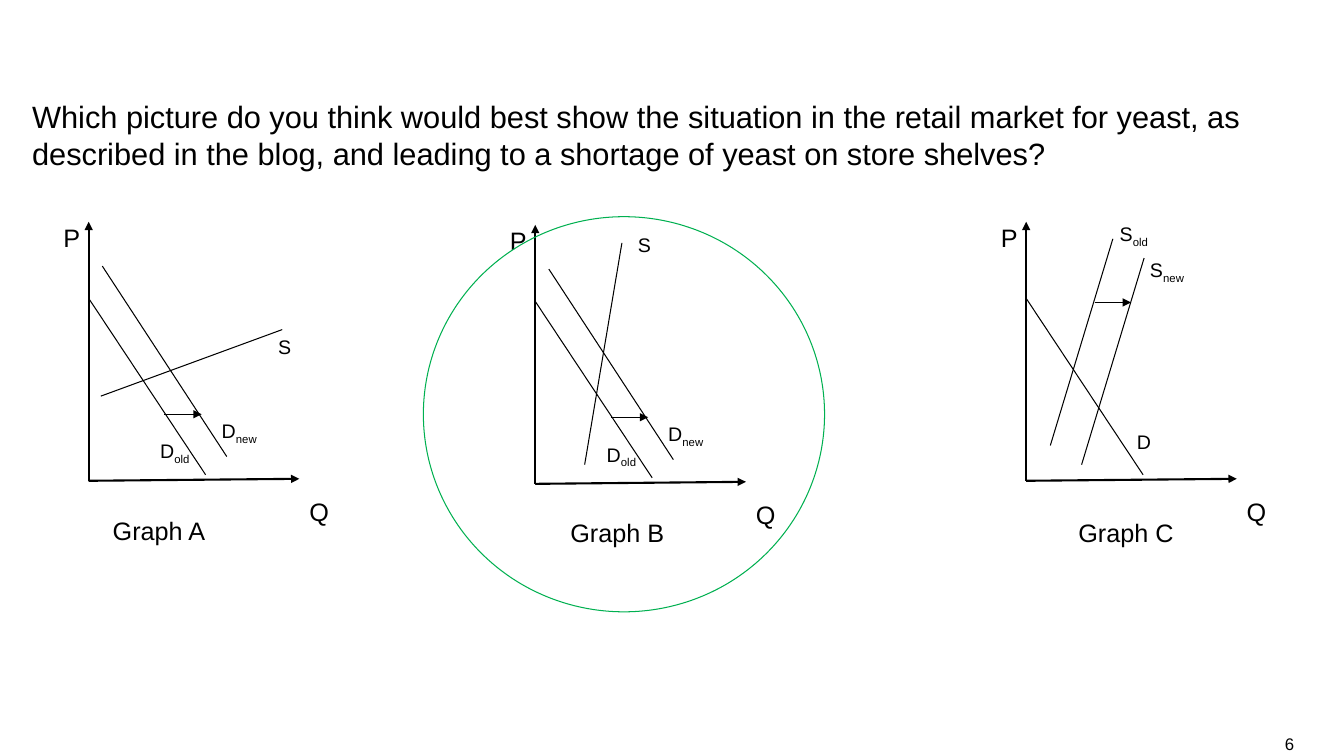
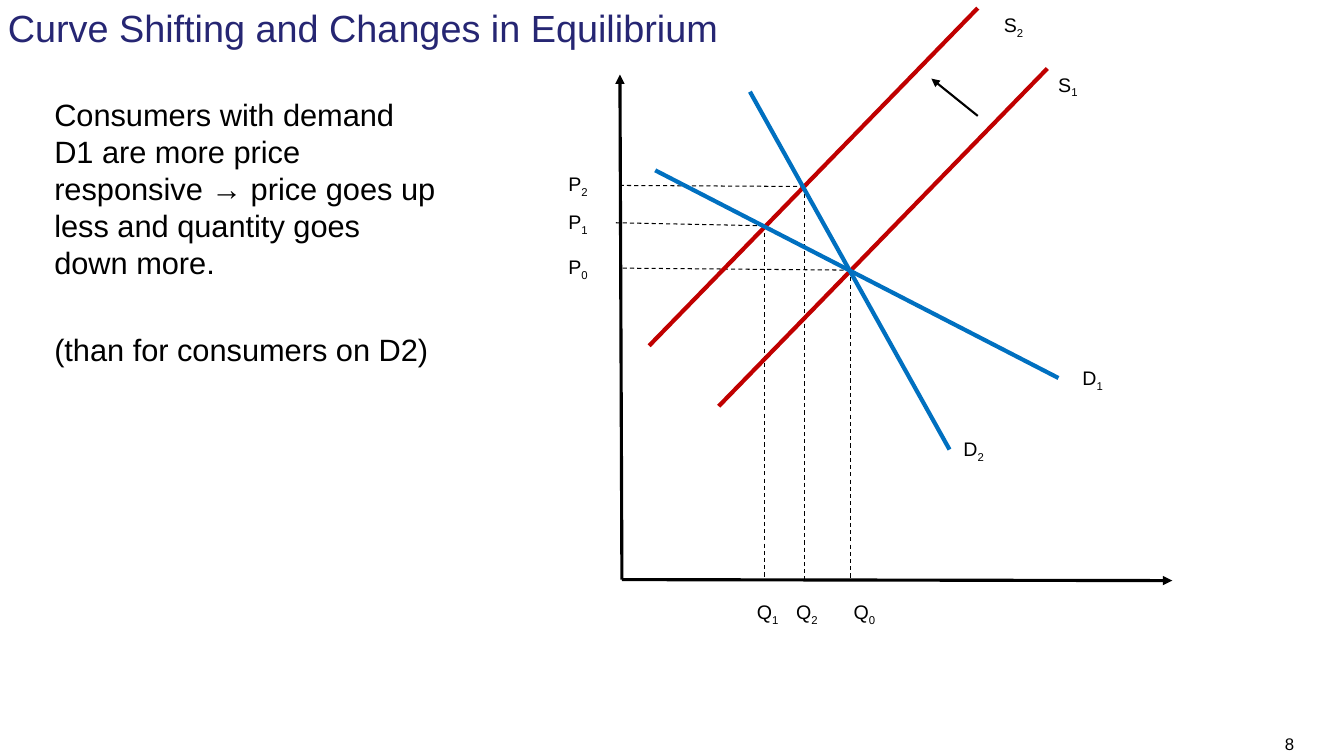
import dataclasses

import pptx
import pptx.dml.color
import pptx.enum.dml
import pptx.enum.shapes
import pptx.enum.text
import pptx.oxml.ns
import pptx.util
from lxml import etree


@dataclasses.dataclass(frozen=True)
class Theme:
    font: str = "Arial"
    ink: str = "000000"
    paper: str = "FFFFFF"
    heading: str = "262673"
    supply: str = "C00000"
    demand: str = "0070C0"
    answer: str = "00B050"
    title_size: float = 27
    body_size: float = 22
    axis_size: float = 18
    label_size: float = 14
    number_size: float = 12
    thin: float = 0.75
    medium: float = 1.5
    axis: float = 2.25
    curve: float = 3


THEME = Theme()
SLIDE_COLUMNS, SLIDE_ROWS = 133.33, 75
ALIGN = pptx.enum.text.PP_ALIGN
ANCHOR = pptx.enum.text.MSO_ANCHOR


def grid(squares):
    return pptx.util.Inches(squares / 10)


def rgb(value):
    return pptx.dml.color.RGBColor.from_string(value)


def write_text(frame, *paragraphs, size=THEME.label_size, color=THEME.ink,
               align=ALIGN.LEFT, anchor=ANCHOR.TOP, gap=0):
    frame.word_wrap = True
    frame.vertical_anchor = anchor
    for index, text in enumerate(paragraphs):
        paragraph = frame.add_paragraph() if index else frame.paragraphs[0]
        paragraph.alignment = align
        if index:
            paragraph.space_before = pptx.util.Pt(gap)
        for part, words in enumerate(text.split("_")):
            run = paragraph.add_run()
            run.text = words
            run.font.name = THEME.font
            run.font.size = pptx.util.Pt(size)
            run.font.color.rgb = rgb(color)
            if part:
                run.font._element.set("baseline", "-25000")


class Deck:
    def __init__(self, theme):
        self.theme = theme
        self.presentation = pptx.Presentation()
        self.presentation.slide_width = grid(SLIDE_COLUMNS)
        self.presentation.slide_height = grid(SLIDE_ROWS)
        self.origin = (0, 0)

    def new_slide(self, number):
        self.slide = self.presentation.slides.add_slide(self.presentation.slide_layouts[6])
        self.origin = (0, 0)
        footer = self.shape(pptx.enum.shapes.MSO_SHAPE.RECTANGLE, 122.3, 72.5, 11.1, 2.5,
                            fill=self.theme.paper)
        footer.text_frame.margin_right = grid(5)
        write_text(footer.text_frame, str(number), size=self.theme.number_size,
                   align=ALIGN.RIGHT, anchor=ANCHOR.MIDDLE)

    def place(self, column, row):
        return grid(self.origin[0] + column), grid(self.origin[1] + row)

    def shape(self, kind, column, row, columns, rows, fill=None, outline=None):
        shape = self.slide.shapes.add_shape(kind, *self.place(column, row),
                                            grid(columns), grid(rows))
        shape.shadow.inherit = False
        if fill:
            shape.fill.solid()
            shape.fill.fore_color.rgb = rgb(fill)
        else:
            shape.fill.background()
        if outline:
            shape.line.color.rgb = rgb(outline)
            shape.line.width = pptx.util.Pt(self.theme.thin)
        else:
            shape.line.fill.background()
        return shape

    def text(self, column, row, *paragraphs, columns=5.3, rows=3.4, **text_format):
        box = self.slide.shapes.add_textbox(*self.place(column, row),
                                            grid(columns), grid(rows))
        write_text(box.text_frame, *paragraphs, **text_format)

    def title(self, text):
        self.text(-0.2, 0, text, columns=SLIDE_COLUMNS, rows=7,
                  size=self.theme.title_size, color=self.theme.heading)

    def body(self, column, row, columns, *paragraphs):
        self.text(column, row, *paragraphs, columns=columns, rows=61.7,
                  size=self.theme.body_size, gap=36)

    def line(self, start, end, width=THEME.thin, color=THEME.ink, dashed=False, arrow=False):
        line = self.slide.shapes.add_connector(pptx.enum.shapes.MSO_CONNECTOR.STRAIGHT,
                                               *self.place(*start), *self.place(*end))
        line.line.width = pptx.util.Pt(width)
        line.line.color.rgb = rgb(color)
        if dashed:
            line.line.dash_style = pptx.enum.dml.MSO_LINE.DASH
        if arrow:
            etree.SubElement(line.line._get_or_add_ln(), pptx.oxml.ns.qn("a:tailEnd"),
                             type="triangle")
        etree.SubElement(line._element.spPr, pptx.oxml.ns.qn("a:effectLst"))

    def graph(self, origin, caption, caption_place, curves, labels, shift):
        self.origin = origin
        for tip in ((0, -25.7), (20.9, -0.2)):
            self.line((0, 0), tip, self.theme.medium, arrow=True)
        for column, row, name in ((-3.5, -26.1, "P"), (20.9, 1, "Q")):
            self.text(column, row, name, columns=2.7, rows=3.2, size=self.theme.axis_size)
        for start, end in curves:
            self.line(start, end)
        for column, row, name in labels:
            self.text(column, row, name, columns=6.9)
        self.line(*shift, arrow=True)
        self.text(*caption_place, caption, columns=19.5, rows=4, size=self.theme.axis_size)
        self.origin = (0, 0)


def build_yeast_question(deck):
    deck.new_slide(6)
    deck.body(2.2, 9.2, 128.9,
              "Which picture do you think would best show the situation in the retail market "
              "for yeast, as described in the blog, and leading to a shortage of yeast on "
              "store shelves?")
    demand = ((0, -18.1), (11.6, -0.6))
    demand_curves = [demand, ((1.35, -21.3), (13.7, -2.4))]
    demand_labels = [(6.1, -4.6, "D_old"), (12.2, -6.6, "D_new")]
    demand_shift = ((7.5, -6.6), (11.2, -6.6))
    deck.graph((8.8, 47.7), "Graph A", (1.4, 2.9),
               demand_curves + [((1.2, -8.4), (19.2, -15))],
               demand_labels + [(17.8, -15, "S")], demand_shift)
    deck.graph((53.1, 48), "Graph B", (2.5, 2.8),
               demand_curves + [((4.9, -1.9), (8.6, -23.9))],
               demand_labels + [(9.2, -25.4, "S")], demand_shift)
    deck.graph((101.8, 47.7), "Graph C", (4.2, 3.1),
               [demand, ((2.4, -3.5), (8.6, -24)), ((5.5, -1.6), (11.7, -22.1))],
               [(8.3, -26.2, "S_old"), (11.3, -22.6, "S_new"), (10, -5.5, "D")],
               ((6.8, -17.7), (10.4, -17.7)))
    deck.shape(pptx.enum.shapes.MSO_SHAPE.OVAL, 42, 21.5, 39.8, 39.2,
               outline=deck.theme.answer)


def build_equilibrium(deck):
    theme = deck.theme
    deck.new_slide(8)
    deck.title("Curve Shifting and Changes in Equilibrium")
    deck.body(4.4, 9, 40.3,
              "Consumers with demand D1 are more price responsive → price goes up less "
              "and quantity goes down more.",
              "(than for consumers on D2)")
    equilibria = (
        ("0", (84.4, 26.8), (61.5, 26.6), 83.7),
        ("1", (75.8, 22.4), (61.1, 22.1), 74.1),
        ("2", (79.8, 18.5), (61.7, 18.4), 78),
    )
    for name, meeting, price, quantity_label in equilibria:
        deck.line(meeting, price, dashed=True)
        deck.line(meeting, (meeting[0], 57.4), dashed=True)
        deck.text(55.4, price[1] - 1.8, f"P_{name}")
        deck.text(quantity_label, 59, f"Q_{name}")
    curves = (
        ("S_1", (71.3, 40.3), (103.9, 6.8), theme.supply, (104, 6.7)),
        ("S_2", (64.4, 34.3), (97, 0.8), theme.supply, (98.6, 0.8)),
        ("D_1", (65, 16.9), (105, 37.5), theme.demand, (106.4, 35.8)),
        ("D_2", (74.4, 9.1), (94.2, 44.6), theme.demand, (94.6, 42.9)),
    )
    for name, start, end, color, label in curves:
        deck.line(start, end, theme.curve, color)
        deck.text(*label, name)
    for tip in ((116.3, 57.6), (61.5, 7.4)):
        deck.line((61.7, 57.5), tip, theme.axis, arrow=True)
    deck.line((97, 11.5), (92.4, 7.8), theme.medium, arrow=True)


def main():
    deck = Deck(THEME)
    build_yeast_question(deck)
    build_equilibrium(deck)
    deck.presentation.save("out.pptx")


if __name__ == "__main__":
    main()
